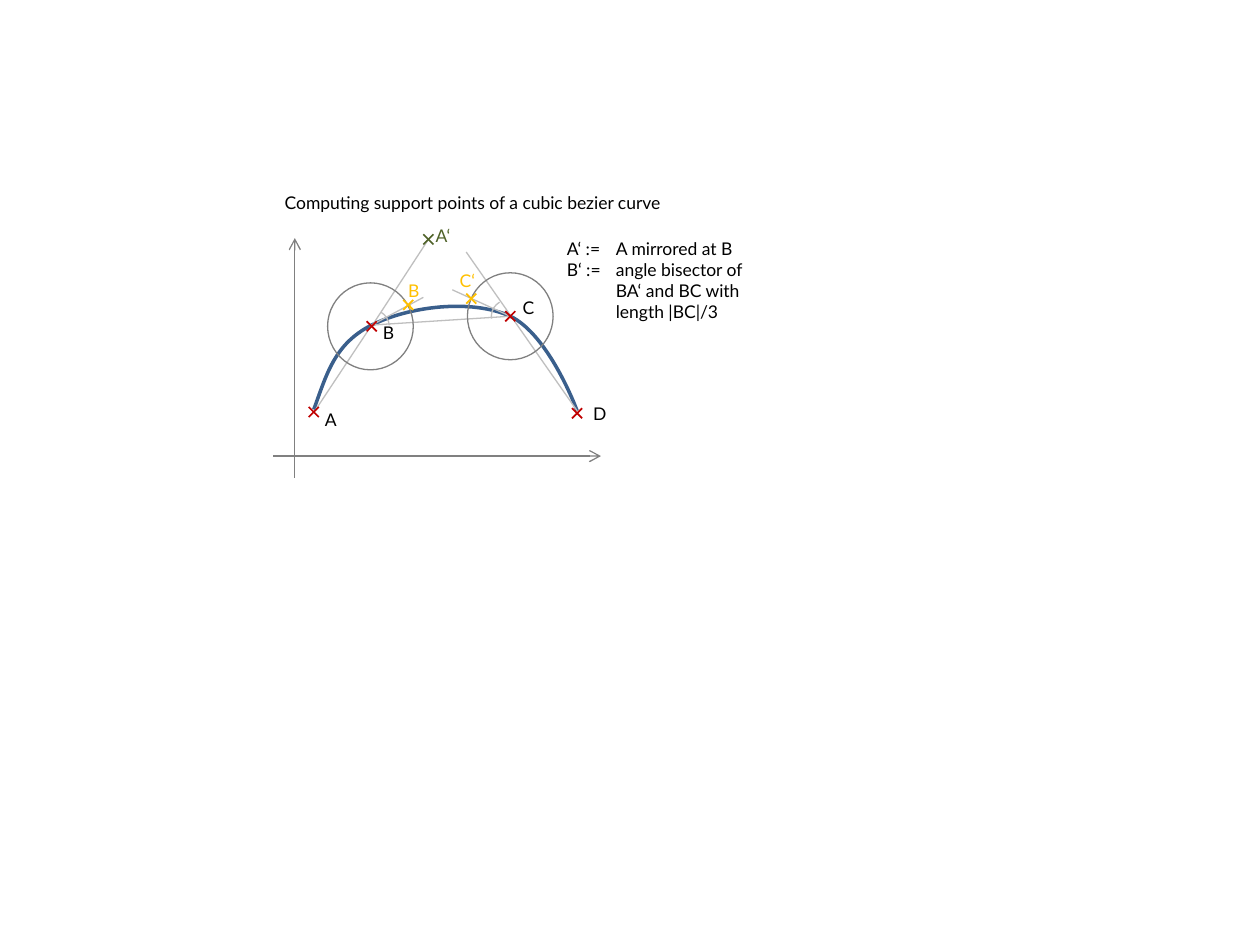
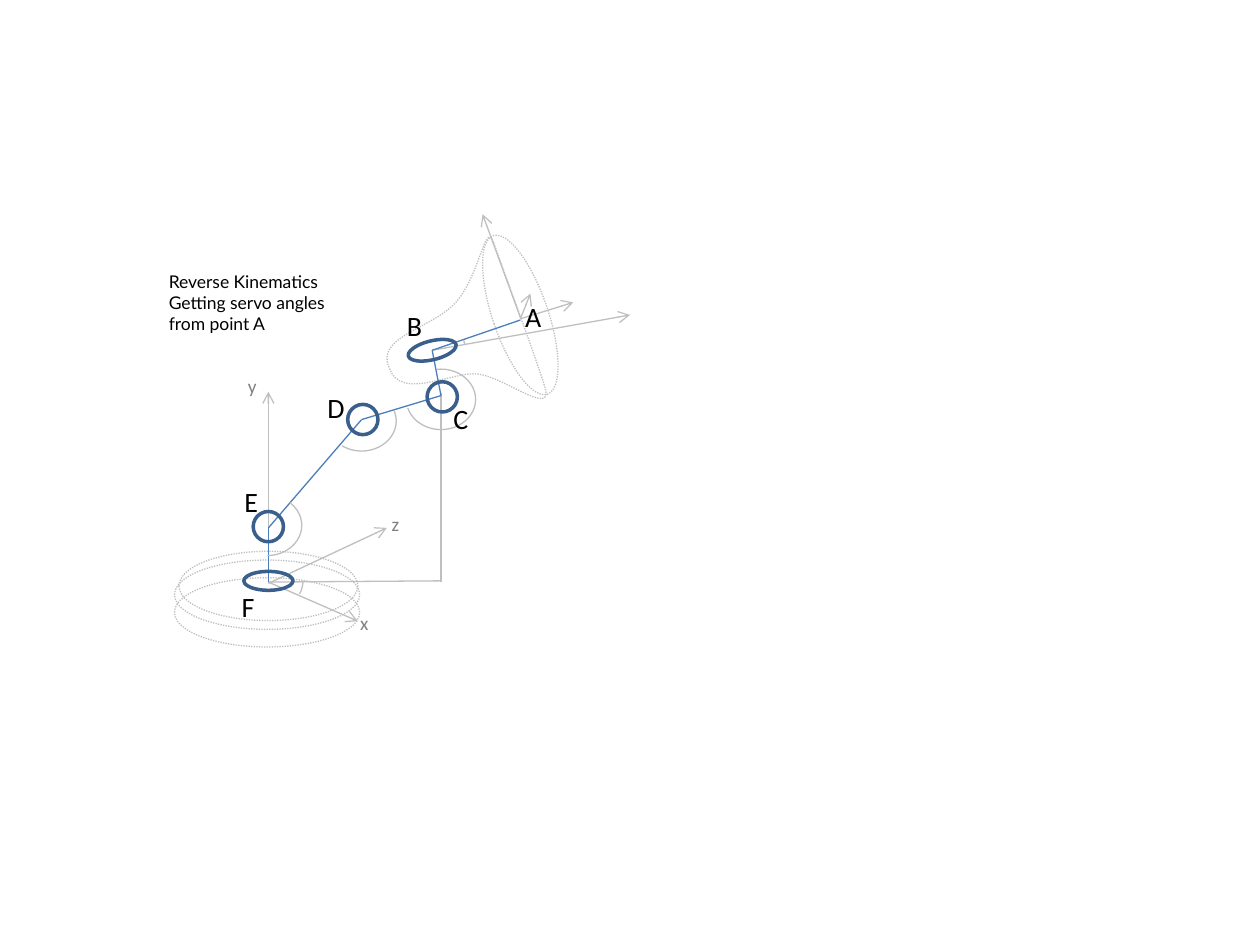
from dataclasses import dataclass

from pptx import Presentation
from pptx.dml.color import RGBColor
from pptx.enum.dml import MSO_LINE
from pptx.enum.shapes import MSO_CONNECTOR, MSO_SHAPE
from pptx.enum.text import MSO_ANCHOR, MSO_AUTO_SIZE, PP_ALIGN
from pptx.oxml.ns import qn
from pptx.oxml.xmlchemy import OxmlElement
from pptx.util import Inches, Pt


@dataclass(frozen=True)
class Theme:
    black: str = "000000"
    axis: str = "808080"
    guide: str = "BFBFBF"
    curve: str = "3A5F8C"
    link: str = "4B7EBC"
    given: str = "C00000"
    support: str = "FFC000"
    mirrored: str = "4F6228"
    text_font: str = "Lato"
    label_font: str = "Calibri"
    text_size: int = 10
    axis_size: int = 11
    joint_size: int = 16
    thin: float = 0.75
    mark: float = 1
    thick: float = 2


THEME = Theme()

# Slide 1: bezier curve
BEZIER_TITLE = ["Computing support points of a cubic bezier curve"]
BEZIER_TITLE_BOX = (2.16, 1.47, 3.96, 0.27)
BEZIER_AXES = [((2.17, 3.62), (4.77, 3.62)), ((2.34, 3.79), (2.34, 1.89))]
BEZIER_CURVE = [(2.49, 3.25), (2.59, 2.98), (2.65, 2.73), (2.95, 2.58),
                (3.25, 2.43), (3.74, 2.37), (4.05, 2.51),
                (4.36, 2.66), (4.58, 3.26), (4.58, 3.26)]
# name: (point, label's top left, label width, colour)
BEZIER_POINTS = {
    "A": ((2.49, 3.27), (2.48, 3.2), 0.29, THEME.given),
    "B": ((2.95, 2.59), (2.94, 2.51), 0.29, THEME.given),
    "C": ((4.05, 2.51), (4.05, 2.31), 0.29, THEME.given),
    "D": ((4.58, 3.28), (4.61, 3.15), 0.3, THEME.given),
    "A‘": ((3.4, 1.9), (3.36, 1.74), 0.32, THEME.mirrored),
    "B‘": ((3.24, 2.42), (3.14, 2.17), 0.31, THEME.support),
    "C‘": ((3.74, 2.37), (3.55, 2.09), 0.32, THEME.support),
}
BEZIER_GUIDES = [((4.05, 2.51), (2.95, 2.58)), ((2.95, 2.58), (3.36, 2.36)),
                 ((2.5, 3.26), (2.95, 2.58)), ((2.95, 2.59), (3.4, 1.9)),
                 ((3.7, 2), (4.58, 3.26)), ((3.59, 2.3), (4.05, 2.51))]
# centre, start and end of the angle in degrees
BEZIER_ANGLES = [((4.05, 2.51), 172.95, 232.81), ((2.94, 2.59), 306, 357.07)]
SUPPORT_CIRCLES = [(2.94, 2.59), (4.05, 2.51)]
DEFINITIONS = ["A‘ := \tA mirrored at B",
               "B‘ := \tangle bisector of BA‘ and BC with length |BC|/3"]
DEFINITIONS_BOX = (4.4, 1.84, 1.73, 0.94)
CROSS_ARM = 0.04

# Slide 2: robot arm
ARM_TITLE = ["Reverse Kinematics", "Getting servo angles \nfrom point A"]
ARM_TITLE_BOX = (1.24, 2.1, 1.72, 0.61)
JOINTS = {"A": (4.13, 2.54), "B": (3.43, 2.78), "C": (3.5, 3.14),
          "D": (2.87, 3.33), "E": (2.13, 4.19), "F": (2.13, 4.62)}
ROUND_RING, FLAT_RING = (0.24, 0.24), (0.39, 0.15)
# centre, size, rotation
JOINT_RINGS = [((2.13, 4.18), ROUND_RING, 0), ((2.88, 3.33), ROUND_RING, 0),
               ((3.51, 3.15), ROUND_RING, 0), ((2.13, 4.61), FLAT_RING, 0),
               ((3.43, 2.78), FLAT_RING, 346.4)]
ARM_ARROWS = [((3.43, 2.78), (5, 2.5)), ((2.13, 4.62), (2.84, 4.93)),
              ((2.13, 4.63), (3.07, 4.19)), ((2.13, 4.61), (2.13, 3.11)),
              ((4.13, 2.53), (4.55, 2.4)), ((4.13, 2.53), (4.21, 2.33)),
              ((4.13, 2.52), (3.83, 1.7))]
ARM_GUIDES = [((3.5, 4.62), (3.5, 3.12)), ((2.13, 4.62), (3.5, 4.61))]
LAMP_OUTLINE = [(3.92, 1.93), (3.99, 2.13), (4.27, 2.88), (4.33, 3.09),
                (4.38, 3.3), (4.01, 3), (3.8, 2.97),
                (3.6, 2.94), (3.18, 3.19), (3.09, 2.92),
                (2.98, 2.68), (3.39, 2.62), (3.6, 2.42),
                (3.81, 2.21), (3.85, 1.73), (3.92, 1.93)]
# centre, size, rotation of the base discs and the lamp opening
DOTTED_RINGS = [((2.13, 4.65), (1.42, 0.55), 0), ((2.12, 4.72), (1.47, 0.55), 0),
                ((2.12, 4.86), (1.47, 0.55), 0), ((4.13, 2.5), (0.44, 1.33), 341.1)]
# centre, start and end in degrees, rotation
SERVO_ANGLES = [((2.13, 4.61), 359.85, 22.76, 0), ((2.12, 4.17), 315.39, 89.45, 0),
                ((2.87, 3.34), 342.24, 127.92, 0), ((3.42, 2.79), 356.95, 4.44, 344),
                ((3.5, 3.17), 262.52, 165.5, 0)]
JOINT_LABELS = {"A": (4.07, 2.33), "B": (3.13, 2.4), "C": (3.5, 3.14),
                "D": (2.5, 3.05), "E": (1.84, 3.8), "F": (1.82, 4.63)}
AXIS_LABELS = {"x": (2.76, 4.8), "y": (1.87, 2.92), "z": (3.01, 4.02)}


# Shared drawing helpers
def inches(values):
    return [Inches(value) for value in values]


def style_line(line, color, width, dotted=False):
    line.color.rgb = RGBColor.from_string(color)
    line.width = Pt(width)
    if dotted:
        line.dash_style = MSO_LINE.ROUND_DOT


def add_line(shapes, start, end, color, width=THEME.thin, arrow=False):
    connector = shapes.add_connector(MSO_CONNECTOR.STRAIGHT, *inches(start + end))
    style_line(connector.line, color, width)
    if arrow:
        tail = OxmlElement("a:tailEnd")
        tail.set("type", "arrow")
        connector.line._get_or_add_ln().append(tail)
    connector._element.spPr.append(OxmlElement("a:effectLst"))


def add_outline(shapes, kind, center, size, color, width=THEME.thin,
                dotted=False, rotation=0):
    corner = [middle - length / 2 for middle, length in zip(center, size)]
    shape = shapes.add_shape(kind, *inches(corner), *inches(size))
    shape.rotation = rotation
    shape.fill.background()
    shape.shadow.inherit = False
    style_line(shape.line, color, width, dotted)
    return shape


def add_angle(shapes, center, size, start, end, rotation=0):
    arc = add_outline(shapes, MSO_SHAPE.ARC, center, size, THEME.guide,
                      rotation=rotation)
    for index, degrees in enumerate((start, end)):
        arc.adjustments[index] = degrees * 0.6  # 60000 units per degree


def add_curve(shapes, points, color, width, dotted=False, closed=False):
    start, *controls = [inches(point) for point in points]
    builder = shapes.build_freeform(*start)
    builder.add_line_segments(controls, close=closed)
    shape = builder.convert_to_shape()
    # Every three straight segments become one cubic segment
    segments = list(shape._element.iter(qn("a:lnTo")))
    for first in range(0, len(segments), 3):
        cubic = OxmlElement("a:cubicBezTo")
        segments[first].addprevious(cubic)
        for segment in segments[first:first + 3]:
            cubic.append(segment[0])
            segment.getparent().remove(segment)
    shape.fill.background()
    shape.shadow.inherit = False
    style_line(shape.line, color, width, dotted)


def write_text(frame, paragraphs, font, size, color, wrap=True):
    frame.word_wrap = wrap
    frame.auto_size = MSO_AUTO_SIZE.SHAPE_TO_FIT_TEXT
    frame.vertical_anchor = MSO_ANCHOR.TOP
    for index, text in enumerate(paragraphs):
        paragraph = frame.add_paragraph() if index else frame.paragraphs[0]
        paragraph.alignment = PP_ALIGN.LEFT
        for number, part in enumerate(text.split("\n")):
            if number:
                paragraph.add_line_break()
            run = paragraph.add_run()
            run.text = part
            run.font.name = font
            run.font.size = Pt(size)
            run.font.color.rgb = RGBColor.from_string(color)


def add_text(shapes, box, paragraphs, font=THEME.text_font,
             size=THEME.text_size, color=THEME.black, wrap=True):
    frame = shapes.add_textbox(*inches(box)).text_frame
    write_text(frame, paragraphs, font, size, color, wrap)
    return frame


def add_titled_slide(presentation, paragraphs, box):
    slide = presentation.slides.add_slide(presentation.slide_layouts[5])
    title = slide.shapes.title
    title.left, title.top, title.width, title.height = inches(box)
    write_text(title.text_frame, paragraphs, THEME.text_font,
               THEME.text_size, THEME.black)
    return slide


def add_cross(shapes, center, color):
    cross = shapes.add_group_shape().shapes
    x, y = center
    for rise in (CROSS_ARM, -CROSS_ARM):
        add_line(cross, (x - CROSS_ARM, y - rise), (x + CROSS_ARM, y + rise),
                 color, THEME.mark)


# Slides
def build_bezier_slide(presentation):
    shapes = add_titled_slide(presentation, BEZIER_TITLE, BEZIER_TITLE_BOX).shapes
    for start, end in BEZIER_AXES:
        add_line(shapes, start, end, THEME.axis, arrow=True)
    add_curve(shapes, BEZIER_CURVE, THEME.curve, THEME.thick)
    for start, end in BEZIER_GUIDES:
        add_line(shapes, start, end, THEME.guide)
    for center in SUPPORT_CIRCLES:
        add_outline(shapes, MSO_SHAPE.OVAL, center, (0.68, 0.69), THEME.axis)
    for center, start, end in BEZIER_ANGLES:
        add_angle(shapes, center, (0.3, 0.27), start, end)
    for name, (point, corner, width, color) in BEZIER_POINTS.items():
        add_cross(shapes, point, color)
        label_color = THEME.black if color == THEME.given else color
        add_text(shapes, (*corner, width, 0.27), [name], color=label_color, wrap=False)
    definitions = add_text(shapes, DEFINITIONS_BOX, DEFINITIONS)
    for paragraph in definitions.paragraphs:
        properties = paragraph._p.get_or_add_pPr()
        properties.set("marL", str(Inches(0.39)))
        properties.set("indent", str(-Inches(0.39)))


def build_arm_slide(presentation):
    slide = add_titled_slide(presentation, ARM_TITLE, ARM_TITLE_BOX)
    shapes = slide.shapes.add_group_shape().shapes
    for start, end in ARM_ARROWS:
        add_line(shapes, start, end, THEME.guide, arrow=True)
    for start, end in ARM_GUIDES:
        add_line(shapes, start, end, THEME.guide)
    # Lamp and base
    add_curve(shapes, LAMP_OUTLINE, THEME.guide, THEME.thin, dotted=True, closed=True)
    for center, size, rotation in DOTTED_RINGS:
        add_outline(shapes, MSO_SHAPE.OVAL, center, size, THEME.guide,
                    dotted=True, rotation=rotation)
    # Links, joints and servo angles
    joints = list(JOINTS.values())
    for start, end in zip(joints, joints[1:]):
        add_line(shapes, start, end, THEME.link)
    for center, size, rotation in JOINT_RINGS:
        add_outline(shapes, MSO_SHAPE.OVAL, center, size, THEME.curve,
                    THEME.thick, rotation=rotation)
    for center, start, end, rotation in SERVO_ANGLES:
        add_angle(shapes, center, (0.55, 0.48), start, end, rotation)
    # Labels
    for labels, size, box, color in (
            (JOINT_LABELS, THEME.joint_size, (0.32, 0.37), THEME.black),
            (AXIS_LABELS, THEME.axis_size, (0.27, 0.29), THEME.axis)):
        for name, corner in labels.items():
            add_text(shapes, corner + box, [name], THEME.label_font, size,
                     color, wrap=False)


def main():
    presentation = Presentation()
    presentation.slide_width, presentation.slide_height = Inches(10), Inches(7.5)
    build_bezier_slide(presentation)
    build_arm_slide(presentation)
    presentation.save("out.pptx")


if __name__ == "__main__":
    main()
